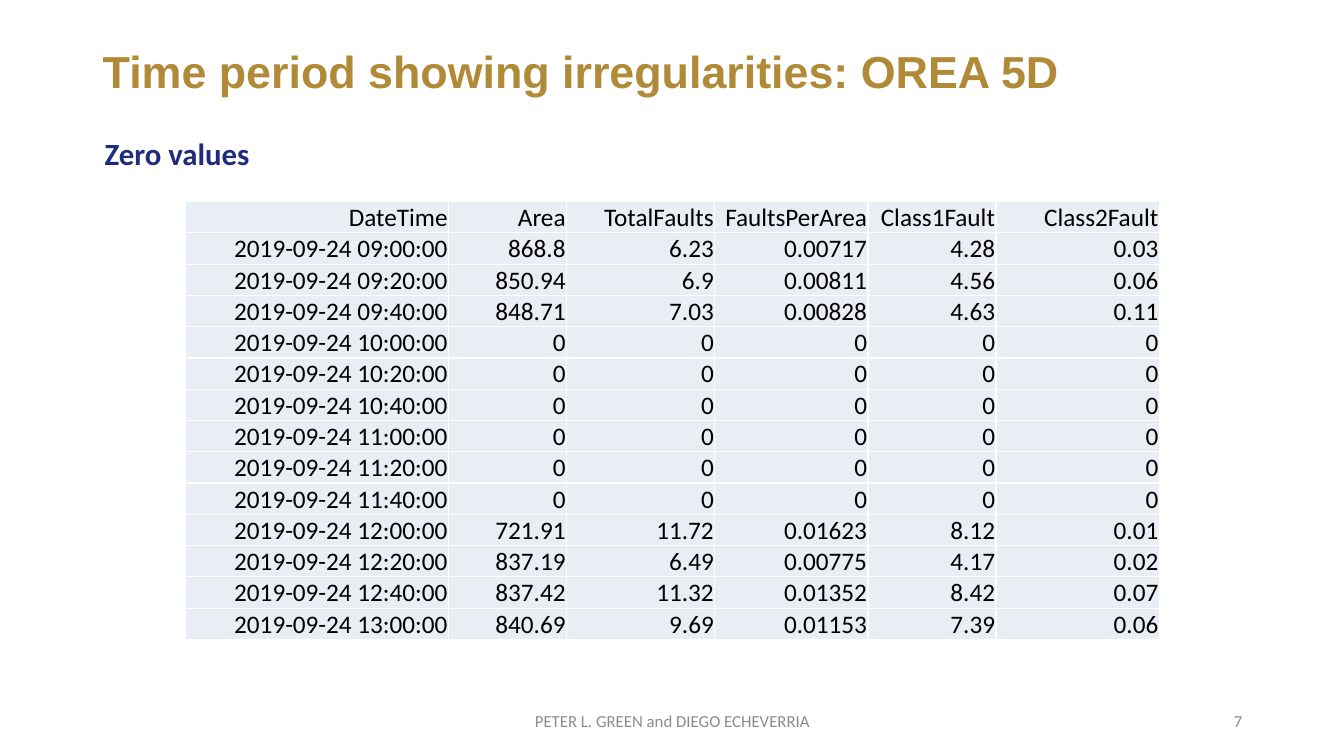
"""Build the slide listing the zero values in the inspection time series."""
from lxml import etree
from pptx import Presentation
from pptx import util as u
from pptx.dml.color import RGBColor
from pptx.enum import text
from pptx.oxml import ns

COLORS = {"gold": "B18A38", "navy": "1F2B7D", "gray": "8C8C8C",
          "black": "000000", "cell": "E9EDF4", "border": "FFFFFF"}
LEFT, CENTER, RIGHT = text.PP_ALIGN.LEFT, text.PP_ALIGN.CENTER, text.PP_ALIGN.RIGHT
TOP, MIDDLE = text.MSO_ANCHOR.TOP, text.MSO_ANCHOR.MIDDLE

LABELS = [
    ("Time period showing irregularities: OREA 5D", (0.92, 0.4, 11.5, 0.66),
     "Arial", 32, "gold", True, LEFT, MIDDLE, 0.9),
    ("PETER L. GREEN and DIEGO ECHEVERRIA", (4.42, 6.95, 4.5, 0.4),
     "Calibri", 12, "gray", False, CENTER, MIDDLE, 1.0),
    ("7", (9.42, 6.95, 3, 0.4), "Calibri", 12, "gray", False, RIGHT, MIDDLE, 1.0),
    ("Zero values", (0.94, 1.29, 11.16, 0.47),
     "Calibri", 22, "navy", True, LEFT, TOP, 1.0),
]
HEADER = ("DateTime", "Area", "TotalFaults", "FaultsPerArea", "Class1Fault", "Class2Fault")
ZEROS = ("0",) * 5
READINGS = [
    ("868.8", "6.23", "0.00717", "4.28", "0.03"),
    ("850.94", "6.9", "0.00811", "4.56", "0.06"),
    ("848.71", "7.03", "0.00828", "4.63", "0.11"),
    *[ZEROS] * 6,
    ("721.91", "11.72", "0.01623", "8.12", "0.01"),
    ("837.19", "6.49", "0.00775", "4.17", "0.02"),
    ("837.42", "11.32", "0.01352", "8.42", "0.07"),
    ("840.69", "9.69", "0.01153", "7.39", "0.06"),
]
TABLE_LEFT, TABLE_TOP, TABLE_HEIGHT = 1.84, 2, 4.3
COLUMN_WIDTHS = (2.61, 1.17, 1.47, 1.52, 1.27, 1.62)
START_HOUR, STEP_MINUTES = 9, 20


def style_font(para, name, size, color, bold=False):
    font = para.font
    font.name, font.size, font.bold = name, u.Pt(size), bold
    font.color.rgb = RGBColor.from_string(COLORS[color])


def add_label(page, words, place, name, size, color, bold, align, anchor, spacing):
    box = page.shapes.add_textbox(*map(u.Inches, place))
    frame = box.text_frame
    frame.word_wrap, frame.vertical_anchor = True, anchor
    para = frame.paragraphs[0]
    para.text, para.alignment, para.line_spacing = words, align, spacing
    style_font(para, name, size, color, bold)


def add_borders(cell):
    properties = cell._tc.get_or_add_tcPr()
    for side in ("a:lnL", "a:lnR", "a:lnT", "a:lnB"):
        line = etree.SubElement(properties, ns.qn(side), w=str(u.Pt(1)))
        fill = etree.SubElement(line, ns.qn("a:solidFill"))
        etree.SubElement(fill, ns.qn("a:srgbClr"), val=COLORS["border"])


def fill_cell(cell, words):
    cell.margin_left = cell.margin_right = cell.margin_top = u.Inches(0.01)
    cell.margin_bottom = 0
    cell.vertical_anchor = text.MSO_ANCHOR.BOTTOM
    add_borders(cell)
    cell.fill.solid()
    cell.fill.fore_color.rgb = RGBColor.from_string(COLORS["cell"])
    para = cell.text_frame.paragraphs[0]
    para.text, para.alignment = words, RIGHT
    style_font(para, "Calibri", 18, "black")


def timestamp(index):
    hours, minutes = divmod(index * STEP_MINUTES, 60)
    return f"2019-09-24 {START_HOUR + hours:02}:{minutes:02}:00"


def add_readings(page):
    rows = [HEADER] + [(timestamp(i), *values) for i, values in enumerate(READINGS)]
    place = (TABLE_LEFT, TABLE_TOP, sum(COLUMN_WIDTHS), TABLE_HEIGHT)
    table = page.shapes.add_table(len(rows), len(HEADER), *map(u.Inches, place)).table
    table.first_row = table.horz_banding = False
    for column, width in zip(table.columns, COLUMN_WIDTHS):
        column.width = u.Inches(width)
    for row, values in zip(table.rows, rows):
        for cell, words in zip(row.cells, values):
            fill_cell(cell, words)


def main():
    deck = Presentation()
    deck.slide_width, deck.slide_height = u.Inches(13.33), u.Inches(7.5)
    page = deck.slides.add_slide(deck.slide_layouts[6])
    for label in LABELS:
        add_label(page, *label)
    add_readings(page)
    deck.save("out.pptx")


if __name__ == "__main__":
    main()
